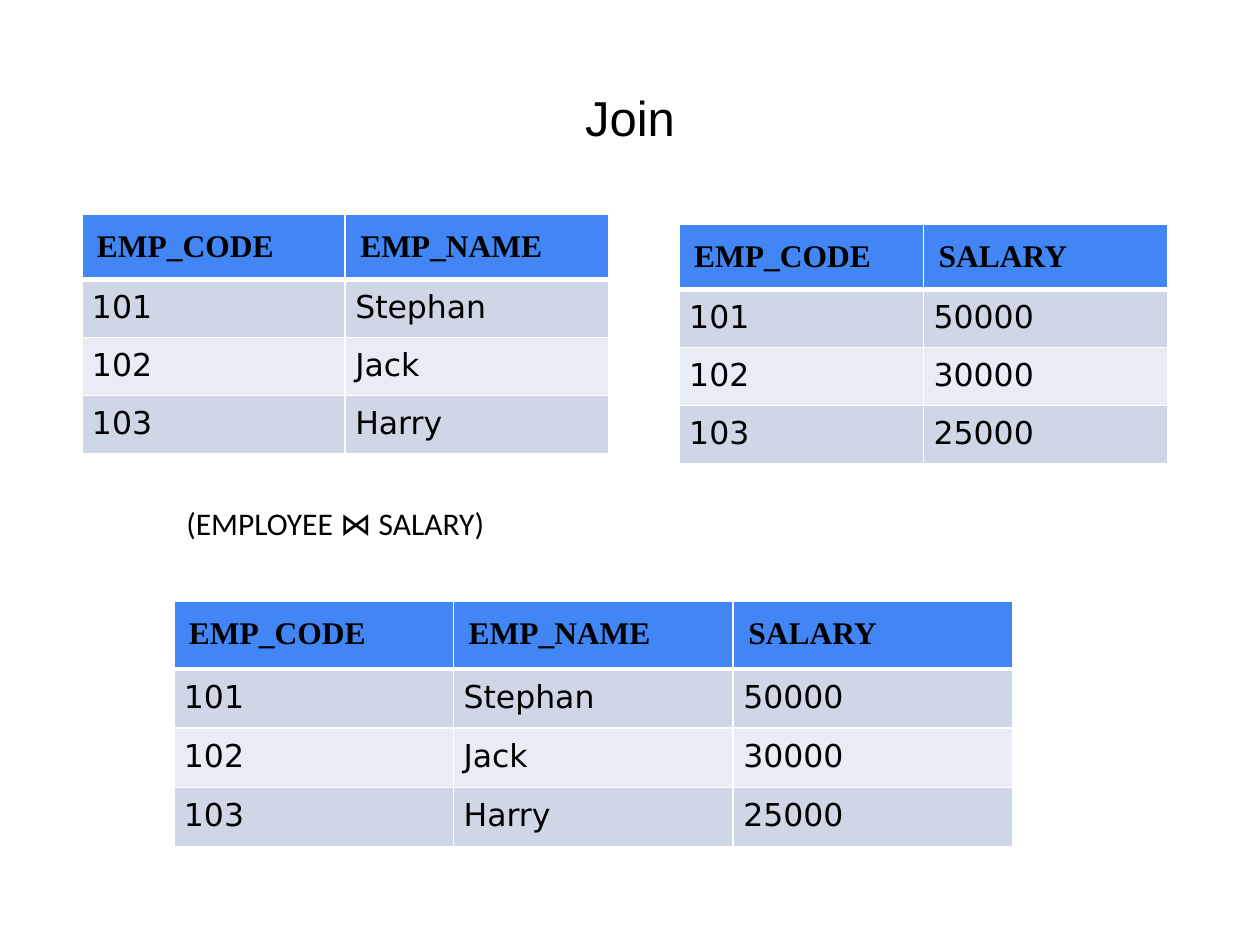
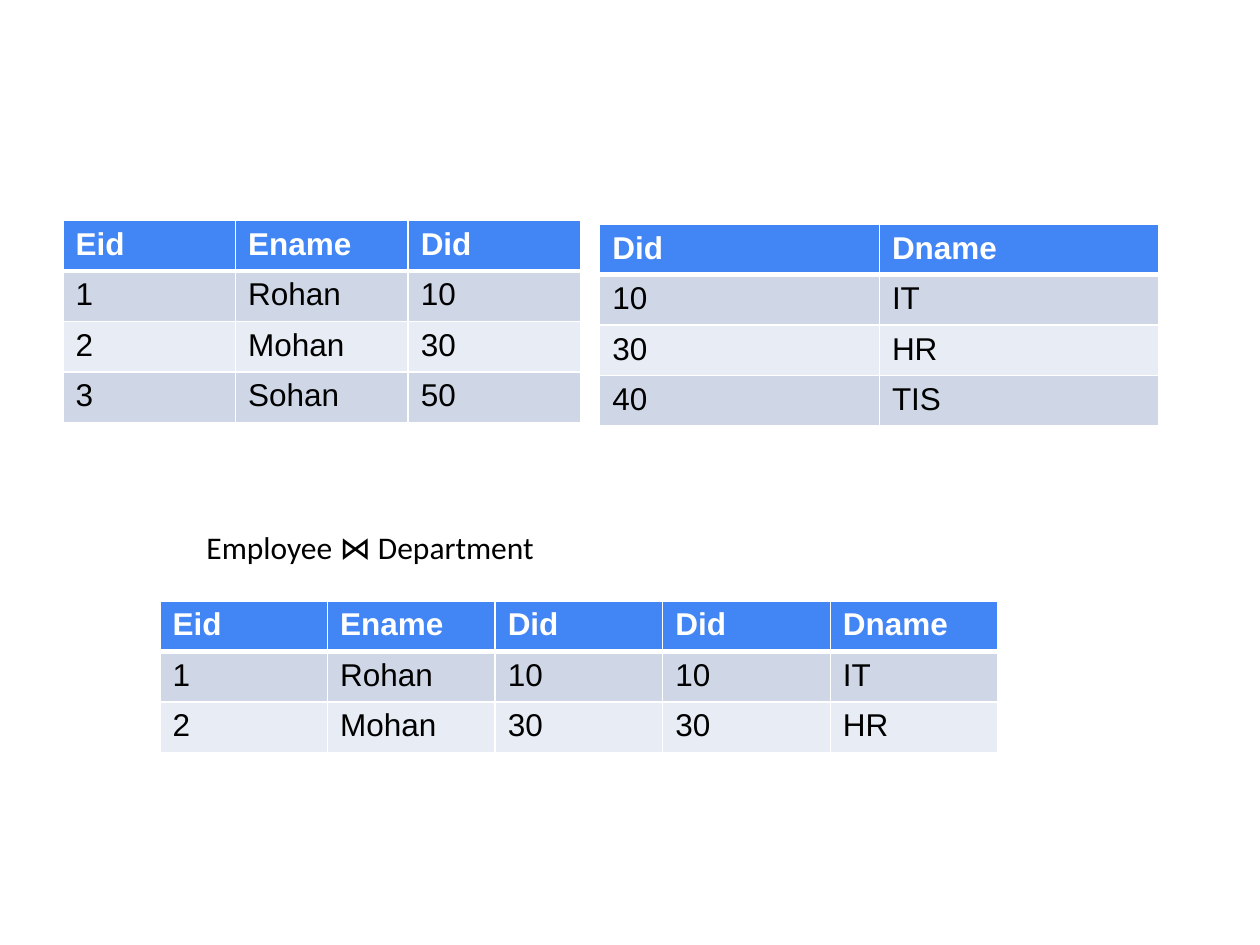
from lxml.etree import SubElement
from pptx import Presentation
from pptx.dml.color import RGBColor
from pptx.enum.text import MSO_ANCHOR, PP_ALIGN
from pptx.oxml.ns import qn
from pptx.util import Inches, Pt

BLUE = RGBColor(0x42, 0x85, 0xF4)
BAND_DARK = RGBColor(0xCF, 0xD7, 0xE7)
BAND_LIGHT = RGBColor(0xE8, 0xEC, 0xF4)
WHITE = RGBColor(0xFF, 0xFF, 0xFF)
BLACK = RGBColor(0x00, 0x00, 0x00)

SERIF_LOOK = {
    "head": ("Times New Roman", BLACK, (0.12, 0.12)),
    "body": ("DejaVu Sans", BLACK, (0.08, 0.08)),
}
PLAIN_LOOK = {
    "head": ("Arial", WHITE, (0.1, 0.05)),
    "body": ("Arial", BLACK, (0.1, 0.05)),
}

SLIDES = [
    {
        "title": "Join",
        "look": SERIF_LOOK,
        "caption": ("(EMPLOYEE ⋈ SALARY)", 1.38, 3.95, 2.72),
        "tables": [
            {"at": (5.39, 1.78), "col": 1.94, "heights": (0.52, 0.46), "rows": [
                ("EMP_CODE", "SALARY"),
                ("101", "50000"),
                ("102", "30000"),
                ("103", "25000")]},
            {"at": (0.65, 1.7), "col": 2.09, "heights": (0.52, 0.46), "rows": [
                ("EMP_CODE", "EMP_NAME"),
                ("101", "Stephan"),
                ("102", "Jack"),
                ("103", "Harry")]},
            {"at": (1.38, 4.77), "col": 2.22, "heights": (0.54, 0.47), "rows": [
                ("EMP_CODE", "EMP_NAME", "SALARY"),
                ("101", "Stephan", "50000"),
                ("102", "Jack", "30000"),
                ("103", "Harry", "25000")]},
        ],
    },
    {
        "title": None,
        "look": PLAIN_LOOK,
        "caption": ("Employee ⋈ Department", 1.54, 4.14, 3.07),
        "tables": [
            {"at": (0.5, 1.75), "col": 1.37, "heights": (0.38, 0.38), "rows": [
                ("Eid", "Ename", "Did"),
                ("1", "Rohan", "10"),
                ("2", "Mohan", "30"),
                ("3", "Sohan", "50")]},
            {"at": (4.76, 1.78), "col": 2.22, "heights": (0.4, 0.4), "rows": [
                ("Did", "Dname"),
                ("10", "IT"),
                ("30", "HR"),
                ("40", "TIS")]},
            {"at": (1.27, 4.77), "col": 1.33, "heights": (0.4, 0.4), "rows": [
                ("Eid", "Ename", "Did", "Did", "Dname"),
                ("1", "Rohan", "10", "10", "IT"),
                ("2", "Mohan", "30", "30", "HR")]},
        ],
    },
]


def style_text(tf, font, size, color, bold=False):
    for r in tf.paragraphs[0].runs:
        r.font.name = font
        r.font.size = Pt(size)
        r.font.color.rgb = color
        r.font.bold = bold


def add_borders(cell, row):
    tcPr = cell._tc.get_or_add_tcPr()
    widths = {"lnL": 1, "lnR": 1,
              "lnT": 3 if row == 1 else 1,
              "lnB": 3 if row == 0 else 1}
    for side, width in widths.items():
        ln = SubElement(tcPr, qn(f"a:{side}"), w=str(Pt(width)))
        fill = SubElement(ln, qn("a:solidFill"))
        SubElement(fill, qn("a:srgbClr"), val=str(WHITE))


def style_cell(cell, row, look):
    font, color, (side, edge) = look["head" if row == 0 else "body"]
    cell.margin_left = cell.margin_right = Inches(side)
    cell.margin_top = cell.margin_bottom = Inches(edge)
    add_borders(cell, row)
    cell.fill.solid()
    band = BAND_DARK if row % 2 else BAND_LIGHT
    cell.fill.fore_color.rgb = BLUE if row == 0 else band
    style_text(cell.text_frame, font, 18, color, bold=row == 0)


def add_data_table(s, spec, look):
    rows = spec["rows"]
    head_h, body_h = spec["heights"]
    left, top = spec["at"]
    n_cols = len(rows[0])
    height = head_h + body_h * (len(rows) - 1)
    table = s.shapes.add_table(
        len(rows), n_cols, Inches(left), Inches(top),
        Inches(spec["col"] * n_cols), Inches(height)).table
    for column in table.columns:
        column.width = Inches(spec["col"])
    for i, values in enumerate(rows):
        table.rows[i].height = Inches(body_h if i else head_h)
        for j, value in enumerate(values):
            cell = table.cell(i, j)
            cell.text = value
            style_cell(cell, i, look)


def add_caption(s, text, left, top, width):
    tf = s.shapes.add_textbox(
        Inches(left), Inches(top), Inches(width), Inches(0.4)).text_frame
    tf.word_wrap = True
    tf.text = text
    style_text(tf, "Calibri", 18, BLACK)


def set_title(s, text):
    sp = s.shapes.title
    sp.left, sp.top = Inches(0.5), Inches(0.3)
    sp.width, sp.height = Inches(9), Inches(1.25)
    tf = sp.text_frame
    tf.text = text
    tf.vertical_anchor = MSO_ANCHOR.MIDDLE
    tf.paragraphs[0].alignment = PP_ALIGN.CENTER
    style_text(tf, "Arial", 28, BLACK)


def main():
    prs = Presentation()
    prs.slide_width, prs.slide_height = Inches(10), Inches(7.5)
    title_only, blank = prs.slide_layouts[5], prs.slide_layouts[6]
    for content in SLIDES:
        s = prs.slides.add_slide(title_only if content["title"] else blank)
        if content["title"]:
            set_title(s, content["title"])
        *sources, joined = content["tables"]
        for table in sources:
            add_data_table(s, table, content["look"])
        add_caption(s, *content["caption"])
        add_data_table(s, joined, content["look"])
    prs.save("out.pptx")


if __name__ == "__main__":
    main()
